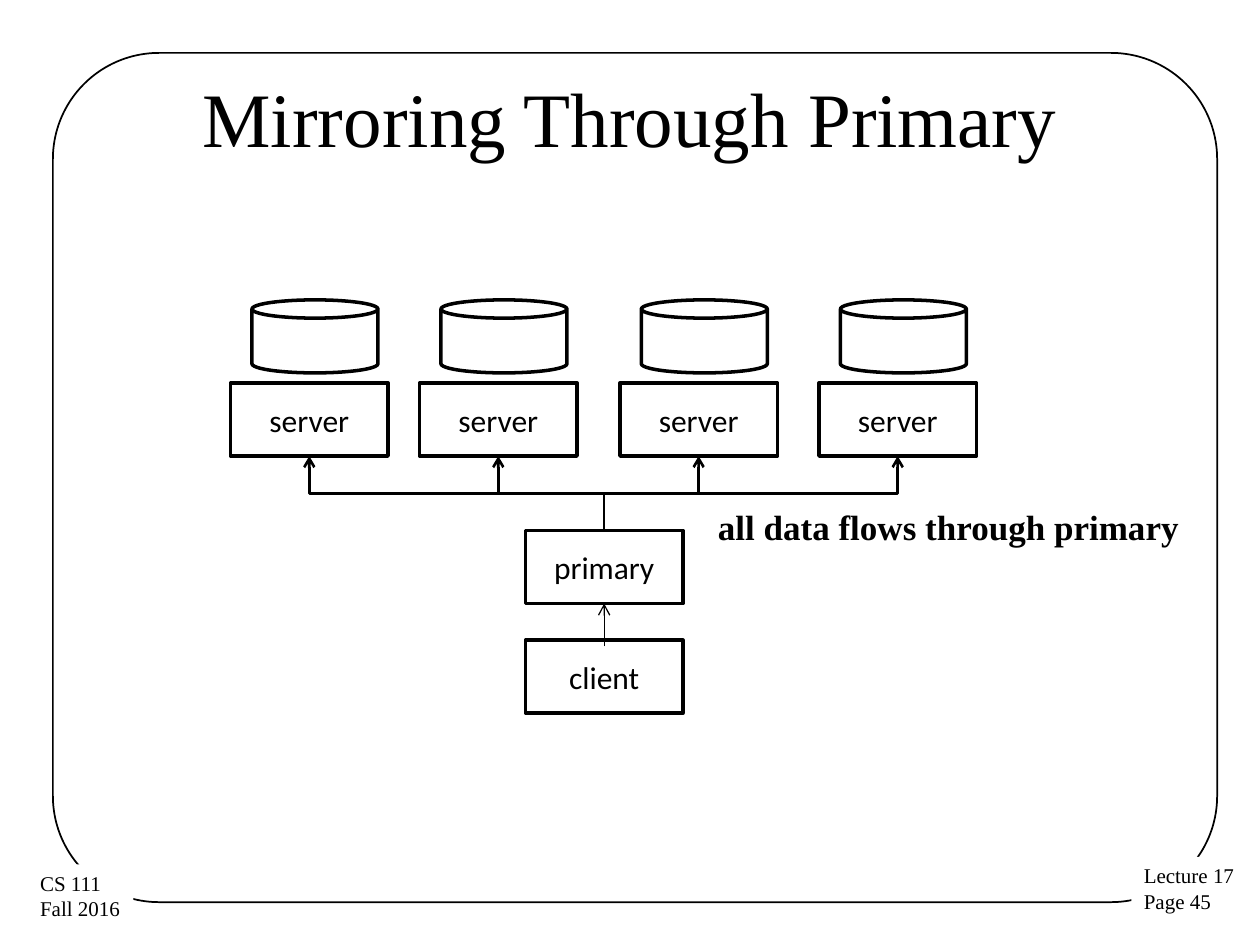
import dataclasses

import pptx
import pptx.dml.color
import pptx.enum.shapes
import pptx.enum.text
import pptx.oxml.ns
import pptx.util
from pptx.util import Inches

SHAPES = pptx.enum.shapes.MSO_SHAPE
CONNECTORS = pptx.enum.shapes.MSO_CONNECTOR
ALIGN = pptx.enum.text.PP_ALIGN
ANCHOR = pptx.enum.text.MSO_ANCHOR


@dataclasses.dataclass(frozen=True)
class Theme:
    """Colours, fonts, type sizes and line widths."""

    ink: pptx.dml.color.RGBColor = pptx.dml.color.RGBColor(0, 0, 0)
    paper: pptx.dml.color.RGBColor = pptx.dml.color.RGBColor(255, 255, 255)
    serif: str = "Times New Roman"
    sans: str = "Calibri"
    title_size: int = 44
    note_size: int = 20
    node_size: int = 18
    footer_size: int = 12
    node_line: float = 2
    flow_line: float = 1.5
    frame_line: float = 1
    request_line: float = 0.75


THEME = Theme()
NODE_WIDTH, NODE_HEIGHT = 1.25, 0.58
SERVER_LEFTS = (1.83, 3.33, 4.92, 6.5)
SERVER_TOP, DISK_TOP = 3.04, 2.38
CENTER_LEFT, PRIMARY_TOP, CLIENT_TOP = 4.17, 4.21, 5.08


def write_text(shape, text, *, size, font=THEME.serif, bold=False, wrap=True,
               align=ALIGN.LEFT, anchor=ANCHOR.TOP):
    """Fill a shape with text, one paragraph for each line."""
    frame = shape.text_frame
    frame.text = text
    frame.word_wrap = wrap
    frame.vertical_anchor = anchor
    for paragraph in frame.paragraphs:
        paragraph.alignment = align
        paragraph.font.size = pptx.util.Pt(size)
        paragraph.font.name = font
        paragraph.font.bold = bold
        paragraph.font.color.rgb = THEME.ink


def add_outline(slide, kind, left, top, width, height, weight):
    """Add an unfilled preset shape with an ink outline."""
    shape = slide.shapes.add_shape(
        kind, Inches(left), Inches(top), Inches(width), Inches(height))
    shape.shadow.inherit = False
    shape.fill.background()
    shape.line.color.rgb = THEME.ink
    shape.line.width = pptx.util.Pt(weight)
    return shape


def add_node(slide, text, left, top):
    """Add a labelled machine box."""
    node = add_outline(slide, SHAPES.RECTANGLE, left, top, NODE_WIDTH, NODE_HEIGHT,
                       THEME.node_line)
    write_text(node, text, size=THEME.node_size, font=THEME.sans,
               align=ALIGN.CENTER, anchor=ANCHOR.MIDDLE)
    return node


def add_label(slide, text, left, top, width, height, **text_format):
    """Add a text box."""
    label = slide.shapes.add_textbox(
        Inches(left), Inches(top), Inches(width), Inches(height))
    write_text(label, text, **text_format)
    return label


def add_footer(slide, text, left, top, width):
    """Add a footer box that covers the frame behind it."""
    footer = add_label(slide, text, left, top, width, 0.51,
                       size=THEME.footer_size, wrap=False)
    footer.fill.solid()
    footer.fill.fore_color.rgb = THEME.paper


def add_arrow(slide, kind, begin, end, weight):
    """Add a connector with an open arrowhead at its end."""
    arrow = slide.shapes.add_connector(kind, *map(Inches, begin + end))
    arrow.line.color.rgb = THEME.ink
    arrow.line.width = pptx.util.Pt(weight)
    line = arrow.line._get_or_add_ln()
    head = line.makeelement(pptx.oxml.ns.qn("a:tailEnd"), {"type": "arrow"})
    line.append(head)
    properties = arrow._element.spPr
    properties.append(properties.makeelement(pptx.oxml.ns.qn("a:effectLst"), {}))
    return arrow


def add_rising_elbow(slide, begin, end):
    """Add an elbow arrow that leaves and arrives vertically, by a quarter turn."""
    middle_x, middle_y = (begin[0] + end[0]) / 2, (begin[1] + end[1]) / 2
    half_run, half_rise = (end[0] - begin[0]) / 2, (begin[1] - end[1]) / 2
    arrow = add_arrow(slide, CONNECTORS.ELBOW,
                      (middle_x - half_rise, middle_y - half_run),
                      (middle_x + half_rise, middle_y + half_run), THEME.flow_line)
    arrow._element.spPr.xfrm.set("rot", str(270 * 60000))


def main():
    """Build the slide and save it."""
    presentation = pptx.Presentation()
    presentation.slide_width = Inches(10)
    presentation.slide_height = Inches(7.5)
    slide = presentation.slides.add_slide(presentation.slide_layouts[6])

    frame = add_outline(slide, SHAPES.ROUNDED_RECTANGLE, 0.42, 0.42, 9.24, 6.74,
                        THEME.frame_line)
    frame.adjustments[0] = 0.125
    add_footer(slide, "Lecture 17\nPage 45", 8.98, 6.8, 0.93)
    add_footer(slide, "CS 111\nFall 2016", 0.22, 6.86, 0.84)
    add_label(slide, "Mirroring Through Primary", 0.5, 0.3, 9, 1.25,
              size=THEME.title_size, align=ALIGN.CENTER, anchor=ANCHOR.MIDDLE)

    primary = add_node(slide, "primary", CENTER_LEFT, PRIMARY_TOP)
    center = CENTER_LEFT + NODE_WIDTH / 2
    for left in SERVER_LEFTS:
        add_node(slide, "server", left, SERVER_TOP)
        add_outline(slide, SHAPES.CAN, left + 0.17, DISK_TOP, 1, NODE_HEIGHT,
                    THEME.node_line)
        add_rising_elbow(slide, (center, PRIMARY_TOP),
                         (left + NODE_WIDTH / 2, SERVER_TOP + NODE_HEIGHT))

    request = add_arrow(slide, CONNECTORS.STRAIGHT, (center, CLIENT_TOP + 0.05),
                        (center, PRIMARY_TOP + NODE_HEIGHT), THEME.request_line)
    request.end_connect(primary, 2)
    add_label(slide, "all data flows through primary", 5.6, 3.96, 4.33, 0.44,
              size=THEME.note_size, bold=True)
    add_node(slide, "client", CENTER_LEFT, CLIENT_TOP)

    presentation.save("out.pptx")


if __name__ == "__main__":
    main()
